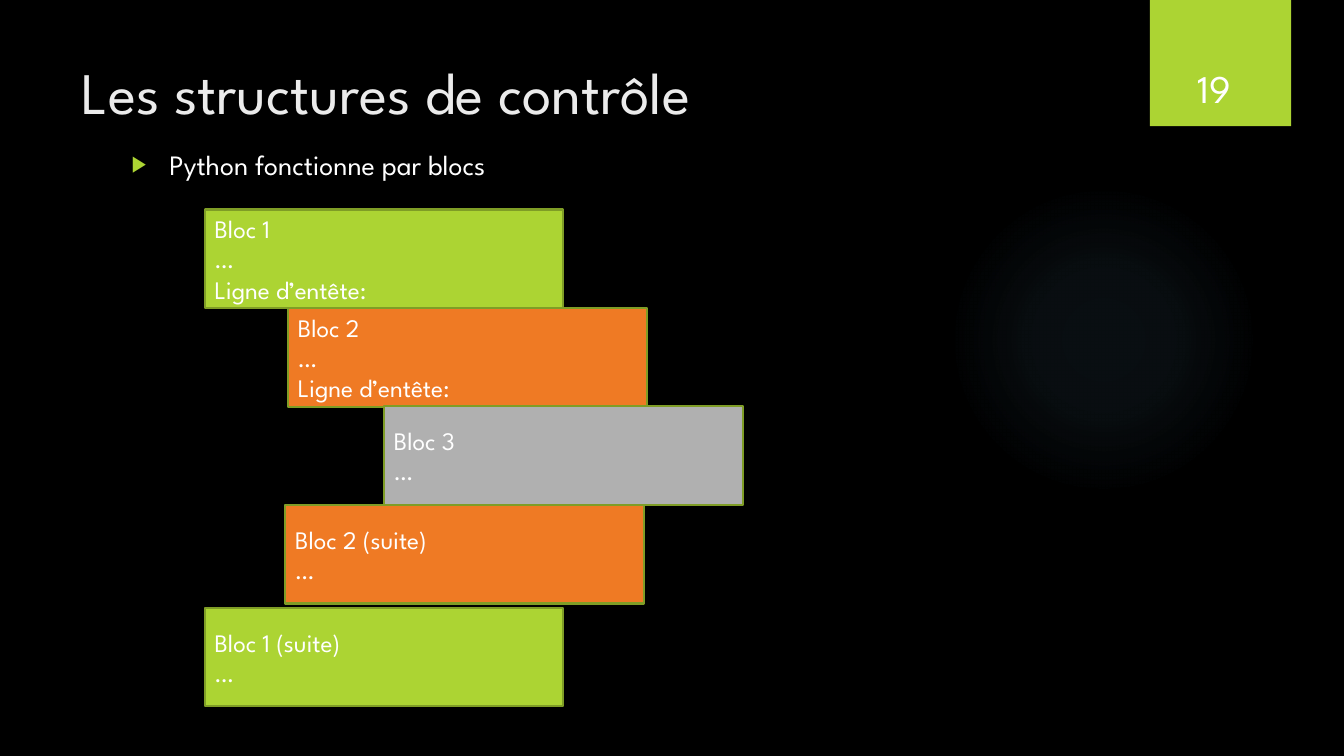
from dataclasses import dataclass
from lxml.etree import SubElement
from pptx import Presentation
from pptx.dml.color import RGBColor
from pptx.enum.shapes import MSO_SHAPE
from pptx.enum.text import MSO_ANCHOR, PP_ALIGN
from pptx.oxml import parse_xml
from pptx.oxml.ns import nsdecls, qn
from pptx.util import Cm, Pt

FONT = "League Spartan"
HUES = {
    "back": "000000",
    "title": "EBEBEB",
    "text": "FFFFFF",
    "lime": "ACD433",
    "orange": "EF7A24",
    "grey": "B0B0B0",
    "edge": "7F9D26",
    "glow": "7AC4F0",
}


@dataclass
class Box:
    left: float
    top: float
    width: float
    height: float

    def place(self) -> tuple:
        return Cm(self.left), Cm(self.top), Cm(self.width), Cm(self.height)


@dataclass
class Block:
    left: float
    top: float
    hue: str
    lines: list[str]


HEAD = "Ligne d’entête:"
BLOCKS = [
    Block(5.16, 5.28, "lime", ["Bloc 1", "…", HEAD]),
    Block(7.26, 7.77, "orange", ["Bloc 2", "…", HEAD]),
    Block(9.68, 10.24, "grey", ["Bloc 3", "…"]),
    Block(7.19, 12.73, "orange", ["Bloc 2 (suite)", "…"]),
    Block(5.16, 15.32, "lime", ["Bloc 1 (suite)", "…"]),
]


def tint(name: str) -> RGBColor:
    return RGBColor.from_string(HUES[name])


def write(shape, lines: list[str], size: int, hue: str = "text",
          anchor=MSO_ANCHOR.TOP, align=PP_ALIGN.LEFT) -> None:
    frame = shape.text_frame
    frame.word_wrap = True
    frame.vertical_anchor = anchor
    for row, line in enumerate(lines):
        para = frame.add_paragraph() if row else frame.paragraphs[0]
        para.alignment = align
        run = para.add_run()
        run.text = line
        run.font.name = FONT
        run.font.size = Pt(size)
        run.font.color.rgb = tint(hue)


def add_form(slide, kind, box: Box):
    shape = slide.shapes.add_shape(kind, *box.place())
    shape.shadow.inherit = False
    shape.line.fill.background()
    return shape


def add_rect(slide, box: Box, hue: str):
    shape = add_form(slide, MSO_SHAPE.RECTANGLE, box)
    shape.fill.solid()
    shape.fill.fore_color.rgb = tint(hue)
    return shape


def add_glow(slide, box: Box) -> None:
    shape = add_form(slide, MSO_SHAPE.OVAL, box)
    stops = "".join(
        f'<a:gs pos="{pos * 1000}"><a:srgbClr val="{HUES["glow"]}">'
        f'<a:alpha val="{alpha * 1000}"/></a:srgbClr></a:gs>'
        for pos, alpha in [(0, 7), (36, 6), (69, 0), (100, 0)]
    )
    fill = parse_xml(
        f'<a:gradFill {nsdecls("a")} rotWithShape="1"><a:gsLst>{stops}</a:gsLst>'
        '<a:path path="circle"><a:fillToRect l="50000" t="50000" r="50000" b="50000"/>'
        '</a:path></a:gradFill>'
    )
    shape.element.spPr.find(qn("a:prstGeom")).addnext(fill)


def add_block(slide, block: Block) -> None:
    shape = add_rect(slide, Box(block.left, block.top, 9.04, 2.48), block.hue)
    shape.line.color.rgb = tint("edge")
    shape.line.width = Pt(1.5)
    write(shape, block.lines, 18, anchor=MSO_ANCHOR.MIDDLE)


def add_point(slide, box: Box, text: str) -> None:
    shape = slide.shapes.add_textbox(*box.place())
    write(shape, [text], 20)
    para = shape.text_frame.paragraphs[0]
    para.space_before = Pt(10)
    props = para._p.get_or_add_pPr()
    props.set("marL", str(Cm(0.95)))
    props.set("indent", str(-Cm(0.95)))
    color = SubElement(props, qn("a:buClr"))
    SubElement(color, qn("a:srgbClr"), val=HUES["lime"])
    SubElement(props, qn("a:buSzPct"), val="80000")
    SubElement(props, qn("a:buFont"), typeface="Arial")
    SubElement(props, qn("a:buChar"), char="▶")


def main() -> None:
    deck = Presentation()
    deck.slide_width, deck.slide_height = Cm(33.87), Cm(19.05)
    slide = deck.slides.add_slide(deck.slide_layouts[5])
    slide.background.fill.solid()
    slide.background.fill.fore_color.rgb = tint("back")

    add_glow(slide, Box(23.9, 4.65, 7.82, 7.82))
    add_rect(slide, Box(28.98, 0, 3.56, 3.18), "lime")
    title = slide.shapes.title
    title.left, title.top, title.width, title.height = Box(1.8, 1.27, 26.14, 3.89).place()
    write(title, ["Les structures de contrôle"], 42, "title")
    add_point(slide, Box(3.07, 3.58, 24.84, 11.66), "Python fonctionne par blocs")
    for block in BLOCKS:
        add_block(slide, block)
    number = slide.shapes.add_textbox(*Box(28.75, 0.81, 3.68, 2.13).place())
    write(number, ["19"], 28, anchor=MSO_ANCHOR.BOTTOM, align=PP_ALIGN.CENTER)
    deck.save("out.pptx")


if __name__ == "__main__":
    main()
